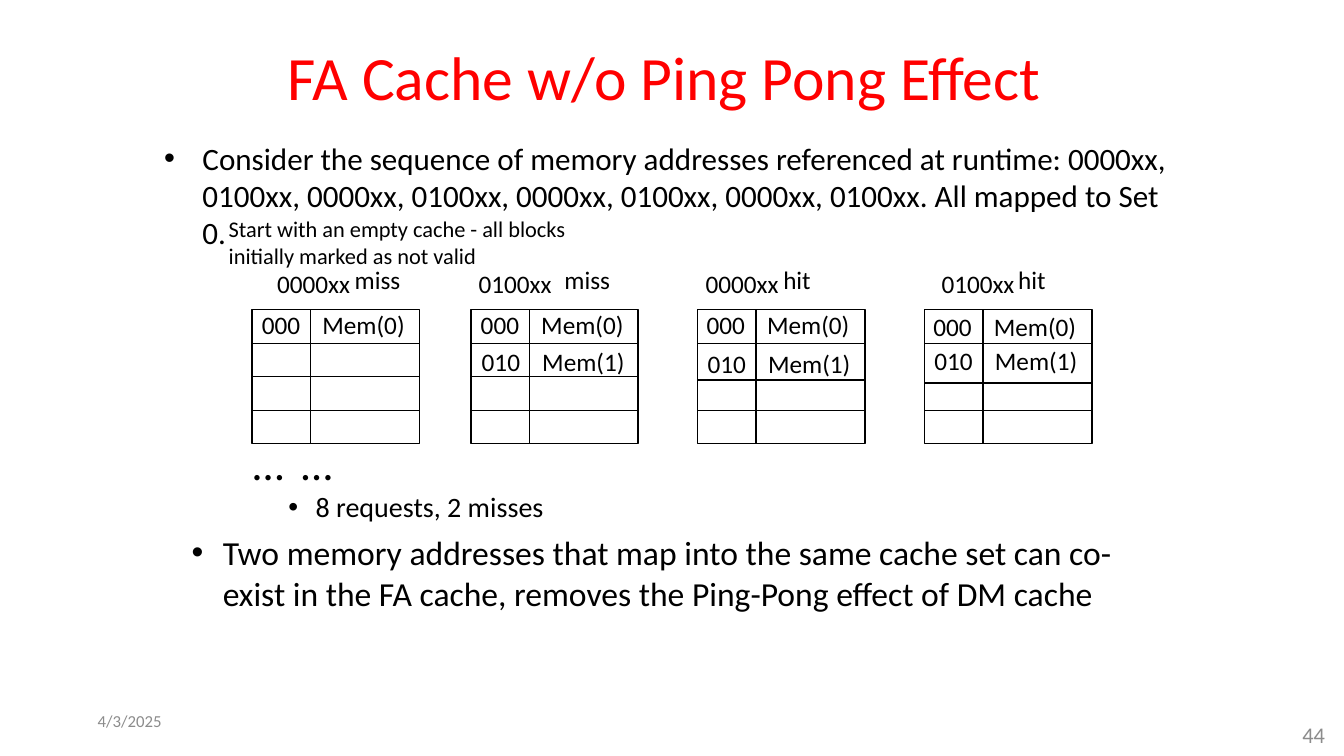
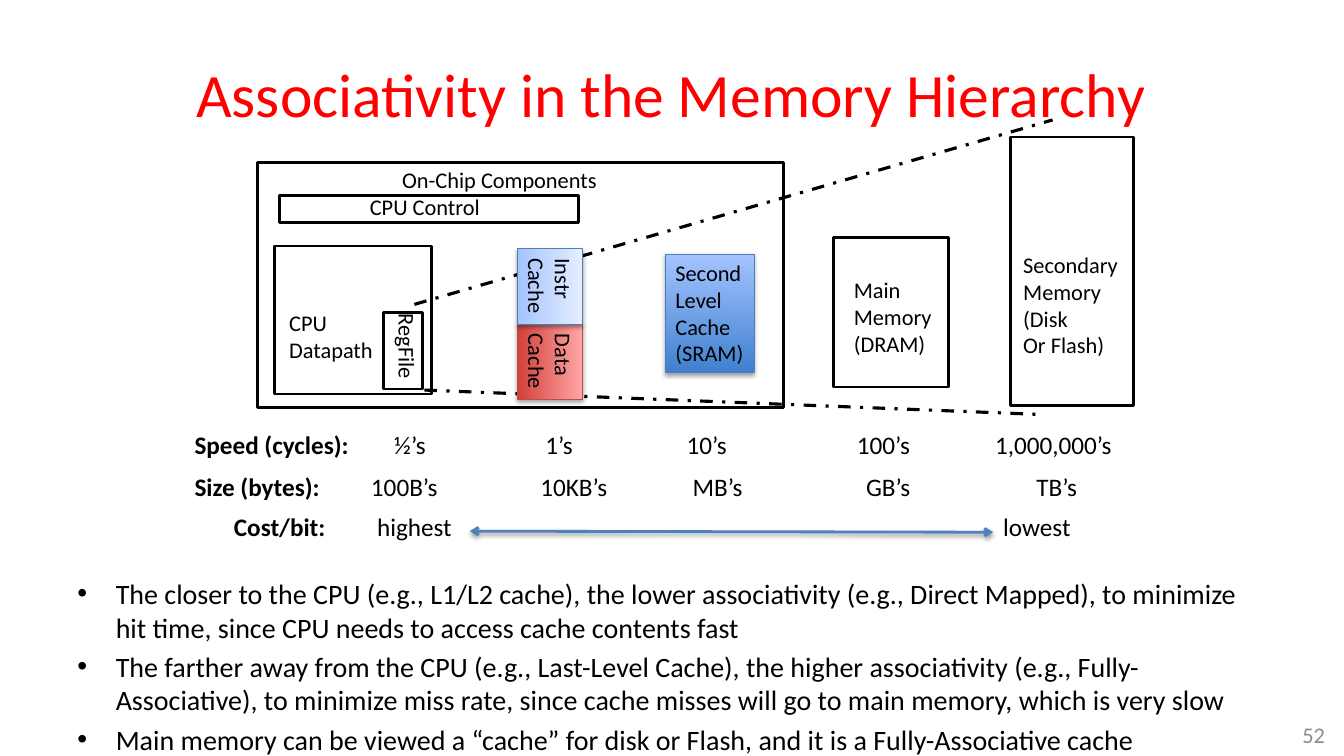
from lxml import etree
from pptx import Presentation
from pptx import util as u
from pptx.dml.color import RGBColor
from pptx.enum import dml, shapes, text
from pptx.oxml import ns

PX = 9144
BLACK = RGBColor(0, 0, 0)
RED = RGBColor(0xFF, 0, 0)
GRAY = RGBColor(0x8C, 0x8C, 0x8C)
BLUE = RGBColor(0x4F, 0x81, 0xBD)
EDGE = RGBColor(0x4B, 0x7E, 0xBC)
DEEP = RGBColor(0x3F, 0x80, 0xCE)
SKY = RGBColor(0xA4, 0xC4, 0xFF)
PALE = RGBColor(0xE6, 0xEE, 0xFF)
BRICK = RGBColor(0xBF, 0x4C, 0x48)
RUST = RGBColor(0xD1, 0x40, 0x3C)
PINK = RGBColor(0xFF, 0xA6, 0xA5)

LEFT, MID, RIGHT = text.PP_ALIGN.LEFT, text.PP_ALIGN.CENTER, text.PP_ALIGN.RIGHT
TOP, CENTER = text.MSO_ANCHOR.TOP, text.MSO_ANCHOR.MIDDLE
SLIM = (7, 3)
WIDE = (10, 5)
ROOF, TALL, HALF = 307, 133, 374


def px(*vals):
    return [u.Emu(val * PX) for val in vals]


def add(parent, tag, **attrs):
    node = etree.SubElement(parent, ns.qn(tag))
    for key, val in attrs.items():
        node.set(key, str(val))
    return node


def put(obj, **fmt):
    for key, val in fmt.items():
        setattr(obj, key, val)


def run(para, words, size, color=BLACK, bold=False):
    part = para.add_run()
    part.text = words
    put(part.font, name="Calibri", size=u.Pt(size), bold=bold)
    part.font.color.rgb = color


def bullet(para, left, hang):
    props = para._p.get_or_add_pPr()
    props.set("marL", str(left * PX))
    props.set("indent", str(-hang * PX))
    add(props, "a:buFont", typeface="Arial")
    add(props, "a:buChar", char="•")


def write(shape, lines, size, color=BLACK, align=LEFT, anchor=TOP, wrap=True,
          inset=WIDE, indent=None, gap=0, pitch=None):
    frame = shape.text_frame
    side, edge = px(*inset)
    put(frame, word_wrap=wrap, vertical_anchor=anchor, margin_left=side,
        margin_right=side, margin_top=edge, margin_bottom=edge)
    for num, words in enumerate(lines):
        para = frame.add_paragraph() if num else frame.paragraphs[0]
        put(para, alignment=align, line_spacing=pitch)
        if num and gap:
            para.space_before = u.Pt(gap)
        if indent:
            bullet(para, *indent)
        run(para, words, size, color)


def label(slide, box, lines, size, turn=0, **fmt):
    shape = slide.shapes.add_textbox(*px(*box))
    shape.rotation = turn
    write(shape, lines, size, **fmt)


def frame(slide, box, width=2):
    shape = slide.shapes.add_shape(shapes.MSO_SHAPE.RECTANGLE, *px(*box))
    shape.shadow.inherit = False
    shape.fill.background()
    shape.line.color.rgb = BLACK
    shape.line.width = u.Pt(width)
    return shape


def shade(shape, dist, alpha):
    props = shape._element.spPr
    for old in props.findall(ns.qn("a:effectLst")):
        props.remove(old)
    cast = add(add(props, "a:effectLst"), "a:outerShdw", blurRad=u.Pt(3.1),
               dist=u.Pt(dist), dir=5400000, rotWithShape=0)
    add(add(cast, "a:srgbClr", val="000000"), "a:alpha", val=alpha * 1000)


def block(slide, box, lines, edge, start, end, turn=0):
    shape = frame(slide, box, 0.75)
    shape.rotation = turn
    shape.line.color.rgb = edge
    shape.fill.gradient()
    shape.fill.gradient_angle = 90
    for stop, color in zip(shape.fill.gradient_stops, (start, end)):
        stop.color.rgb = color
    shade(shape, 1.8, 35)
    write(shape, lines, 16, wrap=False)


def line(slide, ends, color, width, dash=None):
    link = slide.shapes.add_connector(shapes.MSO_CONNECTOR.STRAIGHT, *px(*ends))
    link.line.color.rgb = color
    link.line.width = u.Pt(width)
    if dash:
        link.line.dash_style = dash
    add(link._element.spPr, "a:effectLst")
    return link


def arrow(slide, ends):
    link = line(slide, ends, BLUE, 2)
    stroke = link.line._get_or_add_ln()
    for tag in ("a:headEnd", "a:tailEnd"):
        add(stroke, tag, type="arrow")
    shade(link, 1.6, 38)


def tabbed(slide, box, head, cells, stops, bold=True, inset=SLIM, pitch=0.85):
    shape = slide.shapes.add_textbox(*px(*box))
    write(shape, [], 18, inset=inset)
    para = shape.text_frame.paragraphs[0]
    para.line_spacing = pitch
    tabs = add(para._p.get_or_add_pPr(), "a:tabLst")
    for stop in stops:
        add(tabs, "a:tab", pos=(stop - box[0] - inset[0]) * PX, algn="l")
    run(para, head, 18, bold=bold)
    run(para, "".join("\t" + cell for cell in cells), 18)


def cache(slide, left, split, entries):
    for start, width in ((left, 58), (left + 58, 108)):
        rect = frame(slide, (start, ROOF, width, TALL), 1)
        for level in (341, split, 407):
            link = line(slide, (start, level, start + width, level), BLACK, 1)
            if level == HALF:
                link.begin_connect(rect, 1)
                link.end_connect(rect, 3)
    for spot, top, tag, word in entries:
        tabbed(slide, (spot, top, 164, 40), tag, [word], [spot + 70],
               bold=False, inset=WIDE, pitch=None)


def base(deck, title, box, page, pitch=None):
    slide = deck.slides.add_slide(deck.slide_layouts[6])
    label(slide, box, [title], 44, color=RED, align=MID, anchor=CENTER, pitch=pitch)
    label(slide, (1257, 708, 67, 42), [page], 16, color=GRAY, align=RIGHT, anchor=CENTER)
    return slide


def pong(deck):
    slide = base(deck, "FA Cache w/o Ping Pong Effect", (209, 19, 900, 125), "44", 0.85)
    label(slide, (153, 133, 1019, 110), [
        "Consider the sequence of memory addresses referenced at runtime: 0000xx, "
        "0100xx, 0000xx, 0100xx, 0000xx, 0100xx, 0000xx, 0100xx. All mapped to Set 0."],
        22.2, indent=(38, 38))
    label(slide, (217, 209, 375, 64),
          ["Start with an empty cache - all blocks initially marked as not valid"], 16)
    first, second = ("000", "Mem(0)"), ("010", "Mem(1)")
    for left, split, entries, name, spot, state, place, width in (
            (250, HALF, [(250, 302, *first)],
             "0000xx", 265, "miss", 342, 66),
            (467, HALF, [(467, 302, *first), (468, 339, *second)],
             "0100xx", 465, "miss", 550, 66),
            (692, 377, [(691, 302, *first), (692, 341, *second)],
             "0000xx", 690, "hit", 767, 48),
            (917, 380, [(916, 304, *first), (917, 338, *second)],
             "0100xx", 924, "hit", 1000, 48)):
        cache(slide, left, split, entries)
        label(slide, (spot, 261, 93, 40), [name], 18, wrap=False)
        label(slide, (place, 257, width, 40), [state], 18, wrap=False)
    for left in (241, 289):
        label(slide, (left, 427, 51, 64), ["…"], 32, wrap=False)
    label(slide, (225, 483, 892, 39), ["8 requests, 2 misses"], 20,
          inset=SLIM, indent=(81, 27))
    label(slide, (183, 525, 967, 86), [
        "Two memory addresses that map into the same cache set can co-exist in the "
        "FA cache, removes the Ping-Pong effect of DM cache"],
        24, inset=SLIM, indent=(31, 31))
    label(slide, (87, 695, 233, 40), ["4/3/2025"], 12, color=GRAY, anchor=CENTER)


def tiers(deck):
    slide = base(deck, "Associativity in the Memory Hierarchy", (66, 30, 1200, 125), "52")
    for box in ((255, 161, 522, 243), (277, 194, 297, 27), (272, 244, 156, 147),
                (380, 310, 39, 76), (827, 236, 114, 148), (1002, 136, 122, 266)):
        frame(slide, box)
    for ends in ((411, 302, 1044, 119), (421, 387, 1027, 411)):
        line(slide, ends, BLACK, 2.25, dml.MSO_LINE.DASH_DOT)
    for box, lines, turn, wrap in (
            ((389, 160, 215, 37), ["On-Chip Components"], 0, False),
            ((357, 187, 130, 37), ["CPU Control"], 0, False),
            ((277, 302, 104, 64), ["CPU", "Datapath"], 0, False),
            ((349, 339, 111, 36), ["RegFile"], 90, True),
            ((837, 269, 100, 90), ["Main", "Memory", "(DRAM)"], 0, False),
            ((1005, 244, 115, 118), ["Secondary", "Memory", "(Disk", "Or Flash)"], 0, True)):
        label(slide, box, lines, 16, turn, wrap=wrap)
    block(slide, (660, 252, 88, 118), ["Second", "Level", "Cache", "(SRAM)"],
          EDGE, DEEP, SKY)
    block(slide, (508, 327, 75, 64), ["Data", "Cache"], BRICK, RUST, PINK, 90)
    block(slide, (508, 252, 75, 64), ["Instr", "Cache"], EDGE, SKY, PALE, 90)
    tabbed(slide, (186, 428, 943, 32), "Speed (cycles):",
           ("½’s", "1’s", "10’s", "100’s", "1,000,000’s"), (391, 541, 681, 850, 987))
    tabbed(slide, (186, 469, 943, 31), "Size (bytes):",
           ("100B’s", "10KB’s", "MB’s", "GB’s", "TB’s"), (368, 536, 687, 859, 1028))
    tabbed(slide, (225, 509, 867, 32), "Cost/bit:", ("highest", "lowest"), (374, 995))
    arrow(slide, (466, 527, 985, 528))
    label(slide, (67, 567, 1200, 183), [
        "The closer to the CPU (e.g., L1/L2 cache), the lower associativity (e.g., "
        "Direct Mapped), to minimize hit time, since CPU needs to access cache contents fast",
        "The farther away from the CPU (e.g., Last-Level Cache), the higher associativity "
        "(e.g., Fully-Associative), to minimize miss rate, since cache misses will go to "
        "main memory, which is very slow",
        "Main memory can be viewed a “cache” for disk or Flash, and it is a "
        "Fully-Associative cache"], 20, indent=(38, 38), gap=4)


def main():
    deck = Presentation()
    put(deck, slide_width=u.Inches(13.33), slide_height=u.Inches(7.5))
    pong(deck)
    tiers(deck)
    deck.save("out.pptx")


if __name__ == "__main__":
    main()
